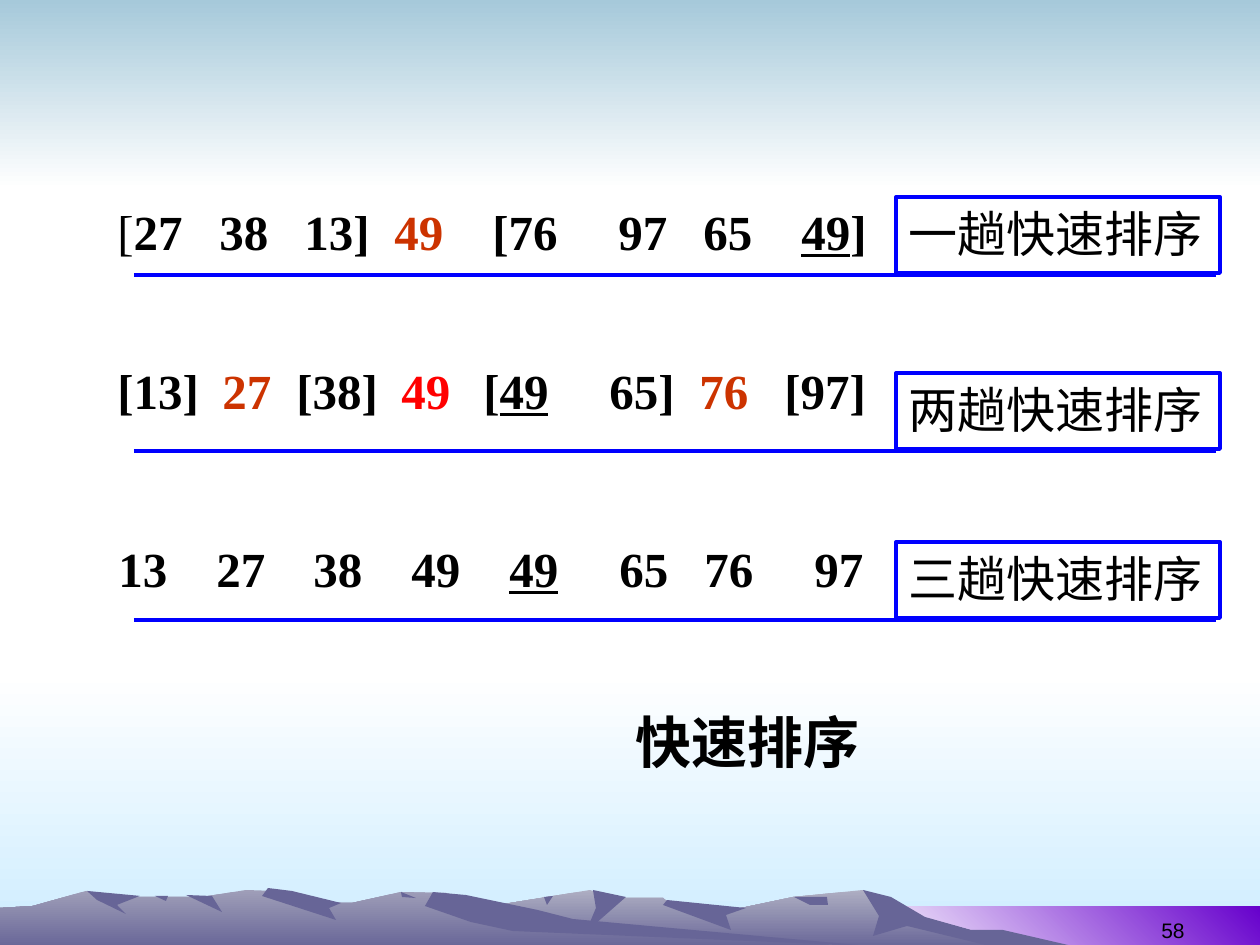
from lxml.etree import SubElement as Sub
from pptx import Presentation
from pptx.dml.color import RGBColor as Rgb
from pptx.enum.shapes import MSO_CONNECTOR as Conn, MSO_SHAPE as Kind
from pptx.enum.text import MSO_ANCHOR as Anchor, PP_ALIGN as Align
from pptx.oxml.ns import qn
from pptx.util import Pt

SCALE = 914400 / 126  # EMU in one px
THEME = dict(
    ink="000000", pivot="CC3300", red="FF0000", blue="0000FF", shade="676597",
    sky=("A6C9DA", "FFFFFF"), haze=("FFFFFF", "CCECFF"), glow=("FFFFFF", "6600CC"),
    back=("AEAEC2", "676597"), front=("9F9EB8", "676597"),
    serif="Times New Roman", sans="Arial", han="Noto Sans CJK SC",
    row=28, title=32, page=12, line=2.25,
)

deck = Presentation()
deck.slide_width, deck.slide_height = round(1260 * SCALE), round(945 * SCALE)
slide = deck.slides.add_slide(deck.slide_layouts[6])
shapes = slide.shapes


def paint(shape, hue, angle=270):
    """Fill a shape with one colour or a two-colour gradient, without outline."""
    shape.shadow.inherit = False
    shape.line.fill.background()
    if isinstance(hue, str):
        shape.fill.solid()
        shape.fill.fore_color.rgb = Rgb.from_string(hue)
        return
    shape.fill.gradient()
    shape.fill.gradient_angle = angle
    for stop, tone in zip(shape.fill.gradient_stops, hue):
        stop.color.rgb = Rgb.from_string(tone)


def write(shape, runs, size, tabs=(), align=Align.LEFT, **frame):
    """Write one paragraph of (text, format) runs, with tab stops in px."""
    for name, value in frame.items():
        setattr(shape.text_frame, name, value)
    para = shape.text_frame.paragraphs[0]
    if tabs:
        stops = Sub(para._p.get_or_add_pPr(), qn("a:tabLst"))
        for tab in tabs:
            Sub(stops, qn("a:tab"), pos=str(round(tab * SCALE)), algn="l")
    para.alignment = align
    for text, form in runs:
        run = para.add_run()
        run.text = text
        form = dict(name=THEME["serif"], size=Pt(size), color="ink") | form
        run.font.color.rgb = Rgb.from_string(THEME[form.pop("color")])
        for name, value in form.items():
            setattr(run.font, name, value)
        Sub(run._r.get_or_add_rPr(), qn("a:ea"), typeface=THEME["han"])


# Background bands
for box, hue, angle in [
    ((0, 672, 1260, 273), "haze", 270),
    ((0, 0, 1260, 189), "sky", 270),
    ((861, 906, 399, 42), "glow", 45),
]:
    paint(shapes.add_shape(Kind.RECTANGLE, *[round(n * SCALE) for n in box]),
          THEME[hue], angle)

# Mountains: each ridge is followed by its shaded slopes
hills = [
    ("back", [(1034, 948), (911, 914), (863, 890), (793, 897), (713, 914), (675, 908),
              (663, 898), (612, 898), (590, 890), (510, 903), (412, 921), (325, 948)]),
    ("shade", [(863, 890), (891, 897), (925, 917), (971, 930), (1003, 930), (1081, 948),
               (998, 948), (907, 926), (873, 936), (879, 916)]),
    ("shade", [(593, 890), (626, 897), (586, 932), (596, 908)]),
    ("shade", [(667, 900), (746, 908), (726, 915), (731, 930), (663, 905)]),
    ("shade", [(794, 897), (827, 897), (828, 905), (810, 905)]),
    ("shade", [(544, 897), (553, 896), (547, 905)]),
    ("front", [(869, 948), (544, 922), (446, 893), (401, 892), (352, 903), (297, 903),
               (276, 891), (246, 890), (202, 897), (118, 897), (86, 891), (33, 906),
               (0, 908), (0, 948)]),
    ("shade", [(268, 888), (292, 891), (341, 903), (329, 908), (336, 920), (262, 896)]),
    ("shade", [(433, 892), (466, 895), (538, 910), (573, 919), (869, 946), (513, 931),
               (471, 922), (425, 906)]),
    ("shade", [(401, 892), (416, 898), (402, 897)]),
    ("shade", [(186, 895), (212, 896), (222, 912)]),
    ("shade", [(155, 896), (168, 896), (166, 901)]),
    ("shade", [(87, 891), (140, 896), (117, 905), (126, 914), (97, 900)]),
]
for hue, dots in hills:
    pen = shapes.build_freeform(*dots[0], scale=SCALE)
    pen.add_line_segments(dots[1:], close=True)
    paint(pen.convert_to_shape(), THEME[hue])

# Number rows, title and page number
bold = dict(bold=True)
under = bold | dict(underline=True)
pivot = bold | dict(color="pivot")
flush = dict(margin_right=0)
texts = [
    ((903, 886, 294, 63), [("58", dict(name=THEME["sans"]))], "page", (),
     dict(align=Align.RIGHT, vertical_anchor=Anchor.BOTTOM)),
    ((105, 195, 877, 72),
     [("[", {}), ("27\t38\t13]\t", bold), ("49", pivot), ("\t[76\t97\t65\t", bold),
      ("49", under), ("]", bold)],
     "row", (102, 187, 277, 375, 501, 586, 684), flush),
    ((471, 701, 553, 79), [("快速", bold), ("排序", bold | dict(name=THEME["han"]))],
     "title", (), dict(align=Align.CENTER)),
    ((105, 354, 397, 72),
     [("[13]\t", bold), ("27", pivot), ("\t[38]\t", bold), ("49", bold | dict(color="red"))],
     "row", (105, 179, 284), flush),
    ((471, 354, 410, 72),
     [("[", bold), ("49", under), ("\t65]\t", bold), ("76", pivot), ("\t[97]", bold)],
     "row", (126, 216, 301), flush),
    ((106, 532, 772, 72),
     [("13\t27\t38\t49\t", bold), ("49", under), ("\t65\t76\t97", bold)],
     "row", (98, 195, 293, 391, 501, 586, 696), flush),
]
for box, runs, size, tabs, frame in texts:
    field = shapes.add_textbox(*[round(n * SCALE) for n in box])
    write(field, runs, THEME[size], tabs, word_wrap=True, **frame)

# Pass labels, each with a rule below
for count, top in zip("一两三", (197, 373, 542)):
    label = shapes.add_shape(Kind.RECTANGLE, *[round(n * SCALE) for n in (896, top, 324, 76)])
    label.shadow.inherit = False
    label.fill.background()
    write(label, [(count + "趟快速排序", {})], THEME["row"], word_wrap=False,
          vertical_anchor=Anchor.TOP)
    ends = (134, top + 78, 1216, top + 78)
    rule = shapes.add_connector(Conn.STRAIGHT, *[round(n * SCALE) for n in ends])
    Sub(rule._element.spPr, qn("a:effectLst"))
    for part in (label, rule):
        part.line.color.rgb = Rgb.from_string(THEME["blue"])
        part.line.width = Pt(THEME["line"])

deck.save("out.pptx")
